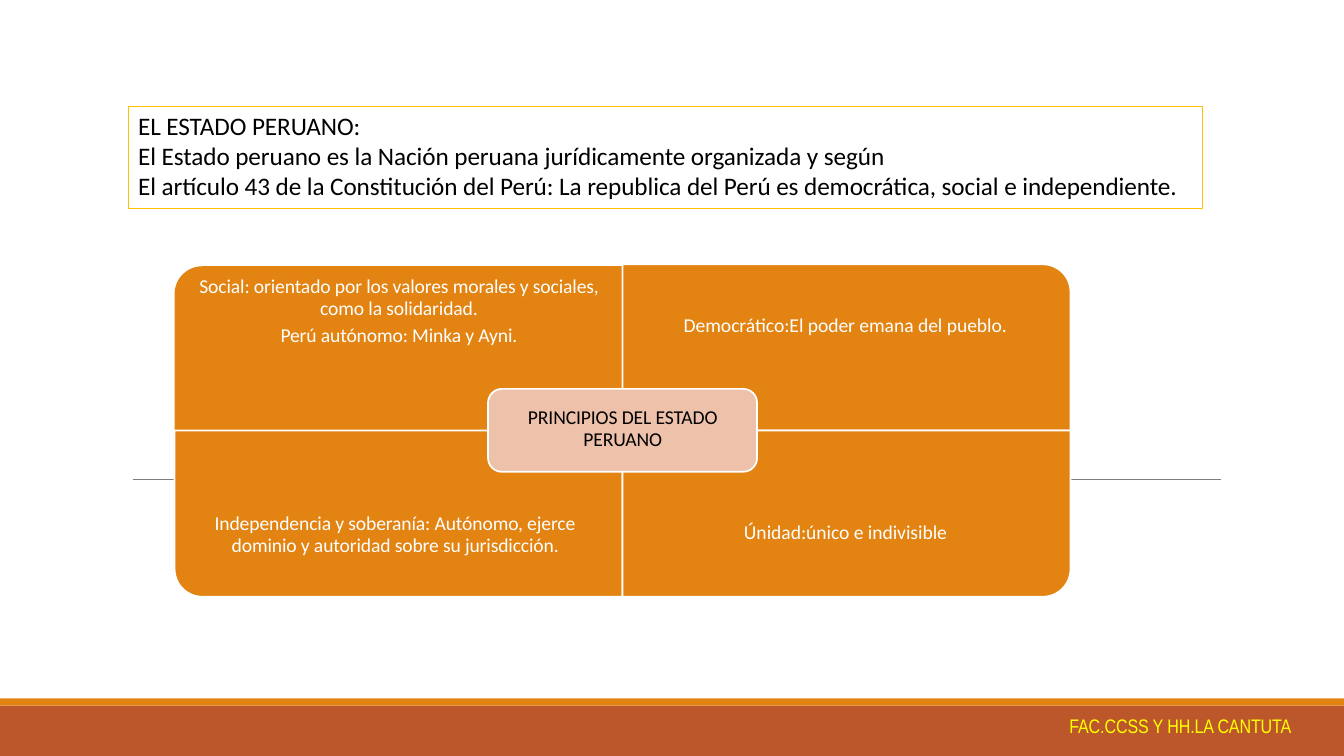
from lxml import etree
from pptx import Presentation
from pptx.dml.color import RGBColor
from pptx.enum import shapes, text
from pptx.oxml import ns
from pptx.util import Cm, Pt

COLORS = {
    "orange": "E38312", "rust": "BC572C", "peach": "EEC1AA", "gold": "FFC000",
    "gray": "7E7E7E", "white": "FFFFFF", "black": "000000", "yellow": "FFFF00",
}
KINDS = shapes.MSO_SHAPE


def rgb(name):
    return RGBColor.from_string(COLORS[name])


def write(frame, lines, size=14, color="white", font="Calibri", align="LEFT", top=0.0,
          before=0, after_first=0, leading=None, left=0.0, hanging=0.0, tracking=-0.1):
    """Fill a text frame with one paragraph per line."""
    frame.word_wrap = True
    frame.auto_size = text.MSO_AUTO_SIZE.SHAPE_TO_FIT_TEXT
    frame.vertical_anchor = text.MSO_ANCHOR.TOP
    frame.margin_left = frame.margin_right = frame.margin_bottom = 0
    frame.margin_top = Cm(top)
    for index, line in enumerate(lines):
        para = frame.paragraphs[0] if index == 0 else frame.add_paragraph()
        para.alignment = getattr(text.PP_ALIGN, align)
        para.space_before = Pt(after_first if index else before)
        if leading:
            para.line_spacing = Pt(leading)
        properties = para._p.get_or_add_pPr()
        properties.set("marL", str(Cm(left)))
        properties.set("indent", str(Cm(-hanging)))
        span = para.add_run()
        span.text = line
        span.font.size = Pt(size)
        span.font.name = font
        span.font.color.rgb = rgb(color)
        span._r.get_or_add_rPr().set("spc", str(round(tracking * 100)))


class Slide:
    def __init__(self, deck):
        self.page = deck.slides.add_slide(deck.slide_layouts[6])

    def shape(self, kind, place, fill=None, line=None, width=1.25, flips=()):
        box = self.page.shapes.add_shape(kind, *map(Cm, place))
        box.shadow.inherit = False
        if fill:
            box.fill.solid()
            box.fill.fore_color.rgb = rgb(fill)
        else:
            box.fill.background()
        if line:
            box.line.color.rgb = rgb(line)
            box.line.width = Pt(width)
        else:
            box.line.fill.background()
        for flip in flips:
            box._element.spPr.xfrm.set(flip, "1")
        return box

    def label(self, place, lines, **style):
        box = self.page.shapes.add_textbox(*map(Cm, place))
        write(box.text_frame, lines, **style)

    def rule(self, start, end, y, color, width):
        line = self.page.shapes.add_connector(
            shapes.MSO_CONNECTOR.STRAIGHT, Cm(start), Cm(y), Cm(end), Cm(y))
        line.line.color.rgb = rgb(color)
        line.line.width = Pt(width)
        etree.SubElement(line._element.spPr, ns.qn("a:effectLst"))


def main():
    deck = Presentation()
    deck.slide_width, deck.slide_height = Cm(33.87), Cm(19.05)
    slide = Slide(deck)

    # Footer bands and rule behind the diagram
    slide.shape(KINDS.RECTANGLE, (0, 17.78, 33.87, 1.27), fill="rust")
    slide.shape(KINDS.RECTANGLE, (0, 17.6, 33.87, 0.18), fill="orange")
    slide.rule(3.35, 30.78, 12.07, "gray", 0.5)

    # Framed introduction
    intro = slide.shape(KINDS.RECTANGLE, (3.23, 2.69, 27.08, 2.57), line="gold", width=0.75)
    write(intro.text_frame, [
        "EL ESTADO PERUANO:",
        "El Estado peruano es la Nación peruana jurídicamente organizada y según",
        "El artículo 43 de la Constitución del Perú: La republica del Perú es "
        "democrática, social e independiente.",
    ], size=18, color="black", top=0.08, before=2.4, left=0.25, tracking=-0.05)

    # Four quadrants, each with its outer corner rounded
    left, top, width, height = 4.4, 6.66, 11.29, 4.19
    for row in range(2):
        for column in range(2):
            first = row == column == 0
            flips = [name for name, on in (("flipH", column == 0), ("flipV", row == 1)) if on]
            y = top + row * height + (0.05 if first else 0)
            slide.shape(KINDS.ROUND_1_RECTANGLE, (left + column * width, y, width, height),
                        fill="orange", line=None if first else "white", flips=flips)

    # Quadrant texts
    slide.label((4.9, 6.86, 10.31, 1.96), [
        "Social: orientado por los valores morales y sociales, como la solidaridad.",
        "Perú autónomo: Minka y Ayni.",
    ], align="CENTER", top=0.1, before=2.6, after_first=4.3, leading=15.4)
    slide.label((17.2, 7.85, 8.28, 0.66), ["Democrático:El poder emana del pueblo."],
                top=0.03, before=1, left=0.03, tracking=-0.05)
    slide.label((5.38, 12.83, 9.3, 1.19), [
        "Independencia y soberanía: Autónomo, ejerce dominio y autoridad sobre su jurisdicción.",
    ], top=0.1, before=2.6, leading=15.4, left=0.46, hanging=0.43)
    slide.label((18.72, 13.08, 5.23, 0.66), ["Únidad:único e indivisible"],
                top=0.03, before=1, left=0.03, tracking=-0.05)

    # Central title
    slide.shape(KINDS.ROUNDED_RECTANGLE, (12.3, 9.8, 6.78, 2.09), fill="peach", line="white")
    slide.label((13.23, 10.19, 4.93, 1.22), ["PRINCIPIOS DEL ESTADO", "PERUANO"],
                color="black", align="CENTER", top=0.03, before=1, leading=16.1)

    # Footer text
    slide.label((26.92, 17.98, 5.74, 0.64), ["FAC.CCSS Y HH.LA CANTUTA"],
                color="yellow", font="Arial Narrow", left=0.03)

    deck.save("out.pptx")


if __name__ == "__main__":
    main()
